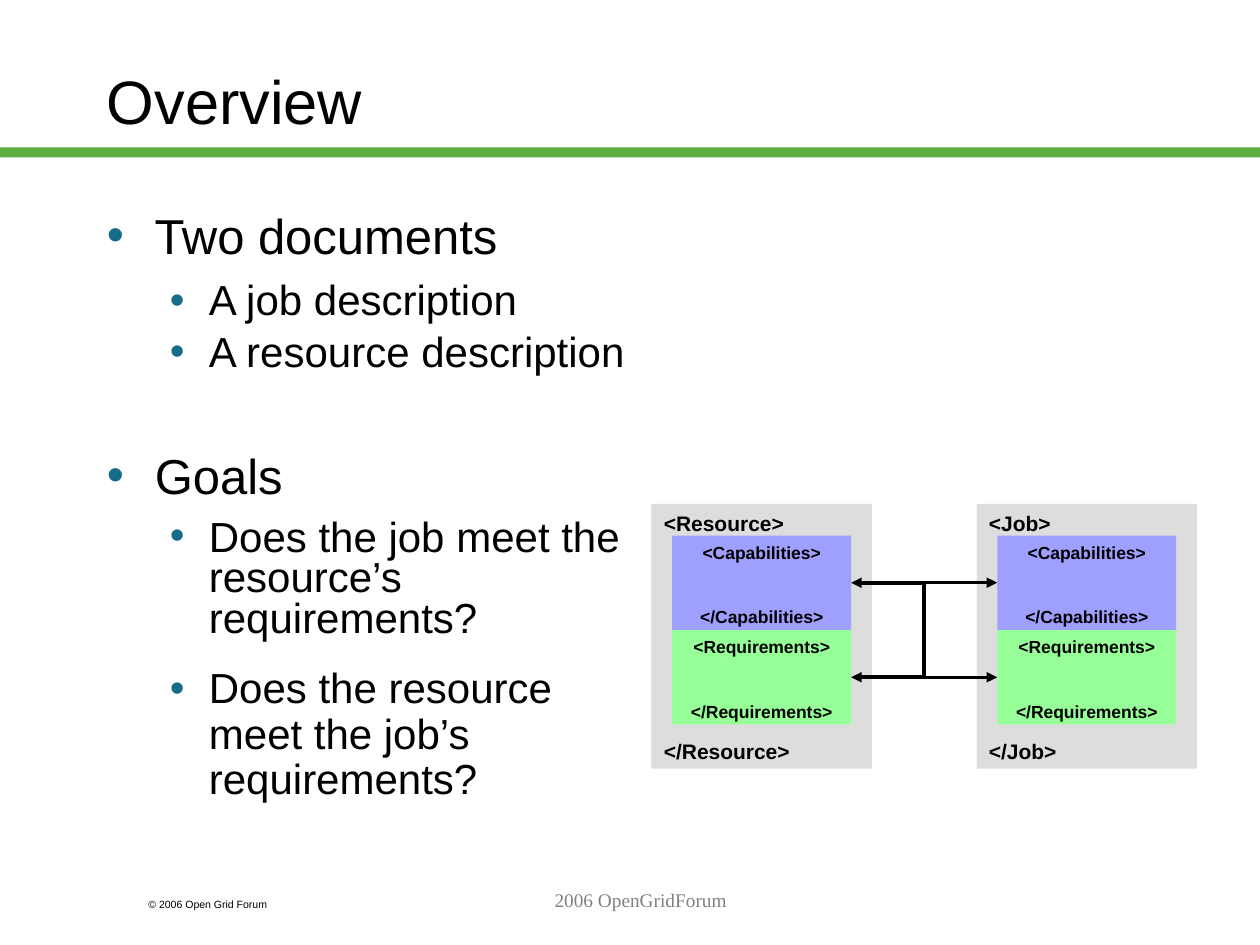
import pptx
import pptx.util
import pptx.dml.color
import pptx.enum.shapes
import pptx.enum.text
import pptx.oxml.ns
from lxml import etree

Inches, Pt = pptx.util.Inches, pptx.util.Pt
ALIGN = pptx.enum.text.PP_ALIGN
ANCHOR = pptx.enum.text.MSO_ANCHOR
SHAPE = pptx.enum.shapes.MSO_SHAPE
CONNECTOR = pptx.enum.shapes.MSO_CONNECTOR
qn = pptx.oxml.ns.qn

BLACK, GREY, BULLET = "000000", "808080", "176D89"
BAR, DOCUMENT = "5DAD41", "DDDDDD"

TITLE = "Overview"
COPYRIGHT = "© 2006 Open Grid Forum"
FOOTER = "2006 OpenGridForum"

# text, level, top, width, height, line spacing
BULLETS = [
    ("Two documents", 0, 1.67, 3.33, 0.5, 0.8),
    ("A job description", 1, 2.17, 4.33, 0.5, 0.9),
    ("A resource description", 1, 2.58, 4.5, 0.5, 0.9),
    ("Goals", 0, 3.58, 2.42, 0.5, 0.8),
    ("Does the job meet the resource’s requirements?", 1, 4.08, 4.5, 1.17, 0.8),
    ("Does the resource meet the job’s requirements?", 1, 5.25, 4.5, 1.33, 0.9),
]
# level: font size, left margin, hanging indent
LEVELS = [(28, 0.38, 0.38), (24, 0.81, 0.31)]

DOCUMENTS = [("Resource", 5.17), ("Job", 7.75)]
SECTIONS = [("Capabilities", "9F9FFF"), ("Requirements", "97FF97")]
DOC_TOP, DOC_W, DOC_H = 4, 1.75, 2.1
SECTION_TOP, SECTION_W, SECTION_H = 4.25, 1.42, 0.75
LEFT_SITE, RIGHT_SITE = 1, 3


def rgb(value):
    return pptx.dml.color.RGBColor.from_string(value)


def style(p, size, color=BLACK, font="Arial", bold=False):
    for r in p.runs:
        r.font.size = Pt(size)
        r.font.name = font
        r.font.bold = bold
        r.font.color.rgb = rgb(color)


def add_text(s, text, x, y, w, h, size, color=BLACK, font="Arial",
             align=ALIGN.LEFT, anchor=ANCHOR.TOP):
    tf = s.shapes.add_textbox(Inches(x), Inches(y), Inches(w), Inches(h)).text_frame
    tf.word_wrap = True
    tf.vertical_anchor = anchor
    p = tf.paragraphs[0]
    p.text = text
    p.alignment = align
    style(p, size, color, font)
    return p


def add_bullet(s, text, level, top, w, h, spacing):
    size, margin, hanging = LEVELS[level]
    p = add_text(s, text, 0.75, top, w, h, size)
    p.level = level
    p.line_spacing = spacing
    pPr = p._p.get_or_add_pPr()
    pPr.set("marL", str(Inches(margin)))
    pPr.set("indent", str(-Inches(hanging)))
    color = etree.SubElement(pPr, qn("a:buClr"))
    etree.SubElement(color, qn("a:srgbClr"), val=BULLET)
    etree.SubElement(pPr, qn("a:buFont"), typeface="Arial")
    etree.SubElement(pPr, qn("a:buChar"), char="•")


def add_rect(s, x, y, w, h, fill):
    sp = s.shapes.add_shape(SHAPE.RECTANGLE, Inches(x), Inches(y), Inches(w), Inches(h))
    sp.shadow.inherit = False
    sp.fill.solid()
    sp.fill.fore_color.rgb = rgb(fill)
    sp.line.fill.background()
    return sp


def add_element(s, tag, x, y, w, h, fill, size, gap, align):
    """Box holding an opening and a closing tag, gap points apart."""
    sp = add_rect(s, x, y, w, h, fill)
    tf = sp.text_frame
    tf.word_wrap = True
    tf.vertical_anchor = ANCHOR.TOP
    tf.text = f"<{tag}>\n</{tag}>"
    for p in tf.paragraphs:
        p.alignment = align
        style(p, size, bold=True)
    tf.paragraphs[1].space_before = Pt(gap)
    return sp


def add_document(s, tag, x):
    add_element(s, tag, x, DOC_TOP, DOC_W, DOC_H, DOCUMENT, 12, 116, ALIGN.LEFT)
    inner_x = x + (DOC_W - SECTION_W) / 2
    return [
        add_element(s, name, inner_x, SECTION_TOP + i * SECTION_H, SECTION_W,
                    SECTION_H, fill, 10, 25, ALIGN.CENTER)
        for i, (name, fill) in enumerate(SECTIONS)
    ]


def add_match_arrow(s, start, end):
    line = s.shapes.add_connector(CONNECTOR.ELBOW, 0, 0, 0, 0)
    line.begin_connect(start, RIGHT_SITE)
    line.end_connect(end, LEFT_SITE)
    line.line.width = Pt(2)
    line.line.color.rgb = rgb(BLACK)
    ln = line.line._get_or_add_ln()
    for end_tag in ("a:headEnd", "a:tailEnd"):
        etree.SubElement(ln, qn(end_tag), type="triangle")
    etree.SubElement(line._element.spPr, qn("a:effectLst"))


def main():
    prs = pptx.Presentation()
    prs.slide_width, prs.slide_height = Inches(10), Inches(7.5)
    s = prs.slides.add_slide(prs.slide_layouts[6])

    add_rect(s, 0, 1.17, 10, 0.08, BAR)
    add_text(s, COPYRIGHT, 1.08, 7.08, 1.5, 0.2, 6)
    add_text(s, TITLE, 0.75, 0.17, 8.5, 1.25, 35, anchor=ANCHOR.MIDDLE)

    resource, job = [add_document(s, tag, x) for tag, x in DOCUMENTS]
    for start, end in zip(resource, reversed(job)):
        add_match_arrow(s, start, end)

    for bullet in BULLETS:
        add_bullet(s, *bullet)
    add_text(s, FOOTER, 2.17, 7, 5.83, 0.5, 11, GREY, "Times New Roman", ALIGN.CENTER)
    prs.save("out.pptx")


if __name__ == "__main__":
    main()
